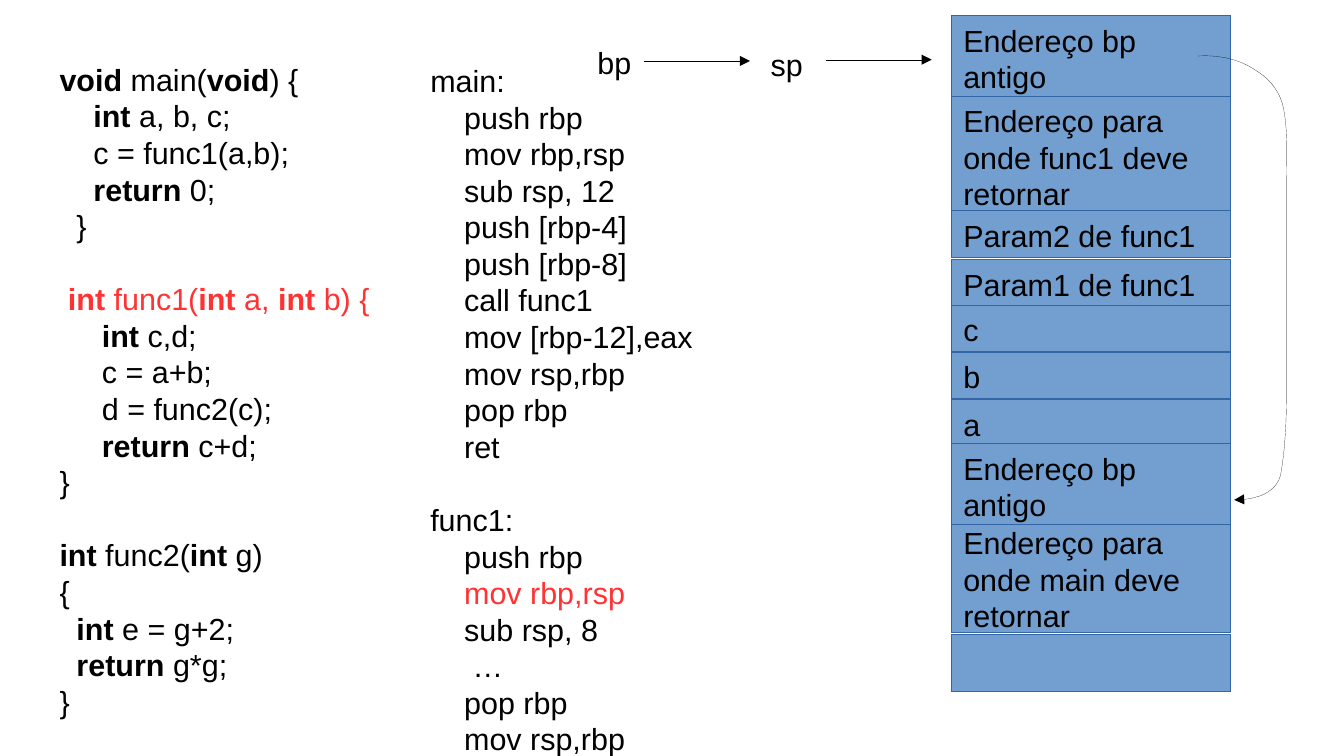
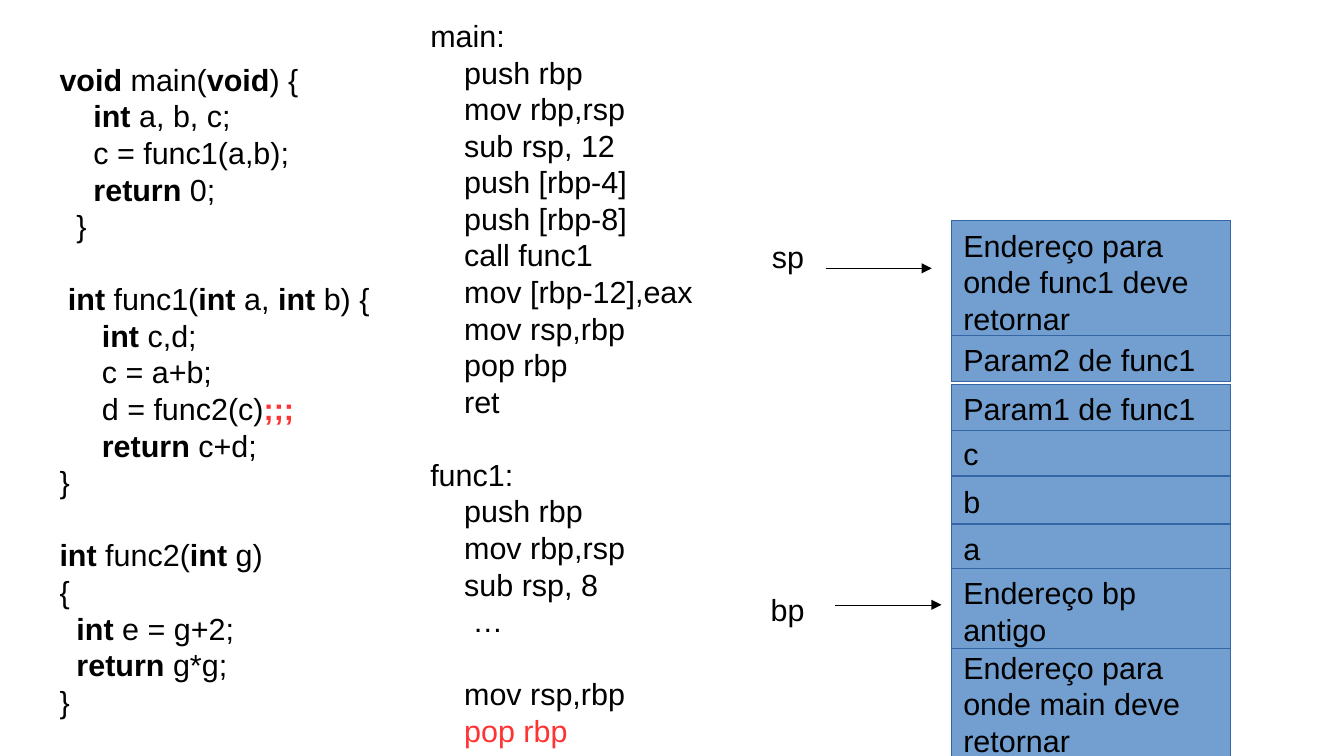
import pptx
import pptx.util
import pptx.dml.color
import pptx.enum.shapes
import pptx.enum.text
import pptx.oxml
import pptx.oxml.ns

Inches = pptx.util.Inches
Pt = pptx.util.Pt

COLORS = {"text": "000000", "accent": "FF3333", "cell": "729FCF", "border": "3465A4"}
FONT = {"name": "Arial", "size": Pt(18)}
FRAME = {
    "word_wrap": True,
    "auto_size": pptx.enum.text.MSO_AUTO_SIZE.NONE,
    "vertical_anchor": pptx.enum.text.MSO_ANCHOR.TOP,
    "margin_left": Inches(0.1),
    "margin_right": Inches(0.1),
    "margin_top": Inches(0.05),
    "margin_bottom": Inches(0.05),
}
LINE_PITCH = Pt(21.6)
PARAGRAPH = {"alignment": pptx.enum.text.PP_ALIGN.LEFT, "line_spacing": LINE_PITCH}
INDENT_STEP = Pt(5)
BLANK = (0, "")

C_CODE = [
    (0, "|void| main(|void|) {"),
    (4, "|int| a, b, c;"),
    (4, "c = func1(a,b);"),
    (4, "|return| 0;"),
    (2, "}"),
    BLANK,
    (1, "|int| func1(|int| a, |int| b) {"),
    (5, "|int| c,d;"),
    (5, "c = a+b;"),
    (5, "d = func2(c);"),
    (5, "|return| c+d;"),
    (0, "}"),
    BLANK,
    (0, "|int| func2(|int| g)"),
    (0, "{"),
    (2, "|int| e = g+2;"),
    (2, "|return| g*g;"),
    (0, "}"),
]
ASSEMBLY_MAIN = [(0, "main:")] + [
    (4, instruction)
    for instruction in (
        "push rbp", "mov rbp,rsp", "sub rsp, 12", "push [rbp-4]", "push [rbp-8]",
        "call func1", "mov [rbp-12],eax", "mov rsp,rbp", "pop rbp", "ret",
    )
]
ASSEMBLY_CALL = ASSEMBLY_MAIN + [
    BLANK, (0, "func1:"), (4, "push rbp"), (4, "~mov rbp,rsp~"), (4, "sub rsp, 8"),
    (5, "…"), (4, "pop rbp"), (4, "mov rsp,rbp"),
]
ASSEMBLY_RETURN = ASSEMBLY_MAIN + [
    BLANK, (0, "func1:"), (4, "push rbp"), (4, "mov rbp,rsp"), (4, "sub rsp, 8"),
    (5, "…"), BLANK, (4, "mov rsp,rbp"), (4, "~pop rbp~"),
]

STACK_LEFT = 7.8
STACK_WIDTH = 2.29
CELL_HEIGHTS = {0: 0.47, 1: 0.38, 2: 0.66, 3: 0.94}
STACK_CELLS = [
    ("Endereço para onde main deve retornar", 3.46, 3),
    ("a", 2.49, 1),
    ("b", 2.1, 1),
    ("c", 1.71, 1),
    ("Endereço bp antigo", 2.85, 2),
    ("Param1 de func1", 1.34, 1),
    ("Param2 de func1", 0.94, 1),
    ("Endereço para onde func1 deve retornar", 0, 3),
]
NEW_FRAME_CELLS = [("", 4.41, 0), ("Endereço bp antigo", -0.66, 2)]

LINK_START = (9.82, 0.46)
LINK_CURVES = [
    ((9.98, 0.45), (10.16, 0.48), (10.3, 0.58)),
    ((10.42, 0.65), (10.51, 0.77), (10.53, 0.92)),
    ((10.56, 1.1), (10.55, 1.27), (10.55, 1.45)),
    ((10.55, 2.0), (10.55, 2.5), (10.55, 3.06)),
    ((10.55, 3.34), (10.55, 3.62), (10.5, 3.9)),
    ((10.46, 4.04), (10.31, 4.1), (10.12, 4.1)),
]
CURVE_STEPS = 12


def apply_format(target, values):
    for name, value in values.items():
        setattr(target, name, value)


def color(name):
    return pptx.dml.color.RGBColor.from_string(COLORS[name])


def add_styled_runs(paragraph, text):
    for red_index, section in enumerate(text.split("~")):
        for bold_index, part in enumerate(section.split("|")):
            if part:
                run = paragraph.add_run()
                run.text = part
                apply_format(run.font, {**FONT, "bold": bold_index % 2 == 1})
                run.font.color.rgb = color("accent" if red_index % 2 else "text")


def fill_text(shape, lines, **frame_values):
    frame = shape.text_frame
    apply_format(frame, {**FRAME, **frame_values})
    blank_count = 0
    paragraph = frame.paragraphs[0]
    for indent, text in lines:
        if not text:
            blank_count += 1
            continue
        if paragraph.runs:
            paragraph = frame.add_paragraph()
        apply_format(paragraph, {**PARAGRAPH, "space_before": LINE_PITCH * blank_count})
        properties = paragraph._p.get_or_add_pPr()
        properties.set("marL", str(int(INDENT_STEP * indent)))
        properties.set("indent", "0")
        add_styled_runs(paragraph, text)
        blank_count = 0


def add_text(slide, left, top, width, height, lines, **frame_values):
    shape = slide.shapes.add_textbox(Inches(left), Inches(top), Inches(width), Inches(height))
    fill_text(shape, lines, **frame_values)


def style_hairline(shape, color_name):
    shape.line.color.rgb = color(color_name)
    line = shape.line._get_or_add_ln()
    line.set("w", "0")
    return line


def style_arrow(shape):
    tail = pptx.oxml.parse_xml(
        '<a:tailEnd %s type="triangle"/>' % pptx.oxml.ns.nsdecls("a")
    )
    style_hairline(shape, "text").append(tail)


def add_stack(slide, left, top, width, cells):
    for label, offset, line_count in cells:
        shape = slide.shapes.add_shape(
            pptx.enum.shapes.MSO_SHAPE.RECTANGLE,
            Inches(left), Inches(top + offset), Inches(width), Inches(CELL_HEIGHTS[line_count]),
        )
        shape.shadow.inherit = False
        shape.fill.solid()
        shape.fill.fore_color.rgb = color("cell")
        style_hairline(shape, "border")
        if label:
            fill_text(shape, [(0, label)])


def add_pointer(slide, name, left, top, arrow_left, arrow_top):
    add_text(slide, left, top, 0.48, 0.38, [(0, name)], word_wrap=False)
    arrow = slide.shapes.add_connector(
        pptx.enum.shapes.MSO_CONNECTOR.STRAIGHT,
        Inches(arrow_left), Inches(arrow_top), Inches(arrow_left + 0.87), Inches(arrow_top),
    )
    style_arrow(arrow)
    effects = pptx.oxml.parse_xml("<a:effectLst %s/>" % pptx.oxml.ns.nsdecls("a"))
    arrow._element.spPr.append(effects)


def curve_point(points, position):
    rest = 1 - position
    weights = (rest**3, 3 * rest**2 * position, 3 * rest * position**2, position**3)
    return tuple(
        Inches(sum(weight * point[axis] for weight, point in zip(weights, points)))
        for axis in (0, 1)
    )


def add_frame_link(slide, start, curves):
    builder = slide.shapes.build_freeform(Inches(start[0]), Inches(start[1]))
    current = start
    points = []
    for curve in curves:
        points += [
            curve_point((current, *curve), step / CURVE_STEPS)
            for step in range(1, CURVE_STEPS + 1)
        ]
        current = curve[-1]
    builder.add_line_segments(points, close=False)
    link = builder.convert_to_shape()
    link.shadow.inherit = False
    link.fill.background()
    style_arrow(link)


def add_code_slide(presentation, c_code, assembly, assembly_top, stack_top, cells, pointers):
    slide = presentation.slides.add_slide(presentation.slide_layouts[6])
    add_text(slide, 0.39, 0.45, 2.83, 5.14, c_code)
    add_text(slide, 3.43, assembly_top, 2.83, 5.7, assembly)
    add_stack(slide, STACK_LEFT, stack_top, STACK_WIDTH, cells)
    for pointer in pointers:
        add_pointer(slide, *pointer)
    return slide


def main():
    presentation = pptx.Presentation()
    apply_format(presentation, {"slide_width": Inches(11.02), "slide_height": Inches(6.2)})

    highlights = {
        "|int| func1(|int| a, |int| b) {": "~|int| func1(|int| a, |int| b) {~",
    }
    call_code = [(indent, highlights.get(text, text)) for indent, text in C_CODE]
    call_slide = add_code_slide(
        presentation, call_code, ASSEMBLY_CALL, 0.46, 0.79, STACK_CELLS + NEW_FRAME_CELLS,
        [("sp", 6.22, 0.33, 6.77, 0.49), ("bp", 4.8, 0.31, 5.28, 0.5)],
    )
    add_frame_link(call_slide, LINK_START, LINK_CURVES)

    highlights = {"d = func2(c);": "d = func2(c)~|;;;|~"}
    return_code = [(indent, highlights.get(text, text)) for indent, text in C_CODE]
    add_code_slide(
        presentation, return_code, ASSEMBLY_RETURN, 0.09, 1.81, STACK_CELLS,
        [("sp", 6.23, 1.9, 6.77, 2.2), ("bp", 6.22, 4.8, 6.85, 4.96)],
    )
    presentation.save("out.pptx")


if __name__ == "__main__":
    main()
